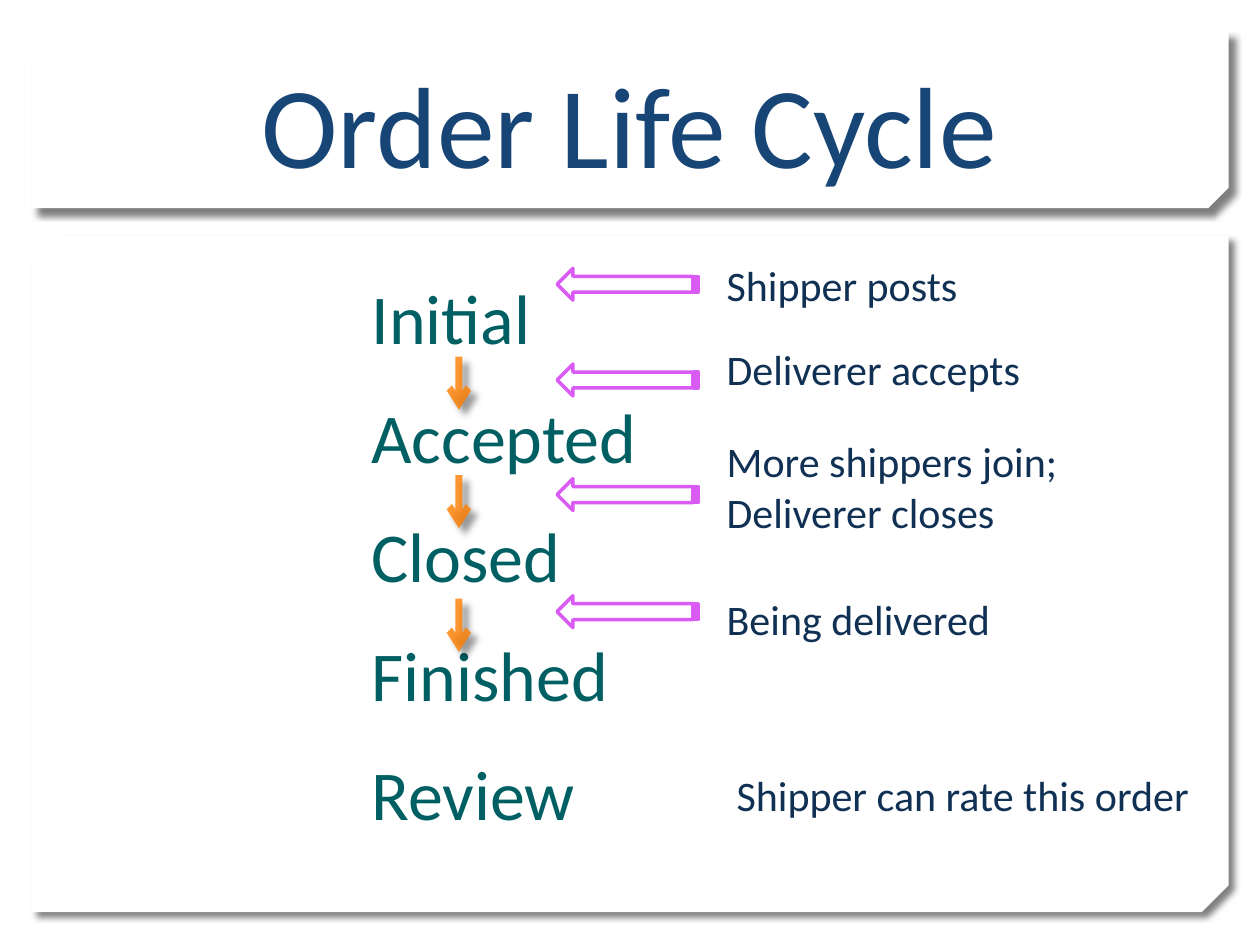
from dataclasses import dataclass

from lxml import etree
from pptx import Presentation
from pptx.dml.color import RGBColor
from pptx.enum import shapes, text
from pptx.oxml import ns
from pptx.util import Cm, Pt

COLORS = {
    "panel": "FFFFFF",
    "title": "174576",
    "state": "005F62",
    "note": "103154",
    "step": "FF7F01",
    "event": "DA5AF4",
    "shadow": "000000",
}
FONT = "Calibri"


@dataclass
class Panel:
    top: float
    height: float
    snip: float


@dataclass
class Note:
    lines: str
    top: float
    height: float = 1.27
    left: float = 14.4
    width: float = 8.48


PANELS = [Panel(4.75, 13.64, 0.04), Panel(0.64, 3.56, 0.117)]
STATES = ["Initial", "Accepted", "Closed", "Finished", "Review"]
STEP_TOPS = [7.19, 9.58, 12.07]
EVENT_TOPS = [5.41, 7.34, 9.65, 12.01]
NOTES = [
    Note("Shipper posts", 5.11),
    Note("Deliverer accepts", 6.81),
    Note("More shippers join;\nDeliverer closes", 8.66, 2.31),
    Note("Being delivered", 11.84),
    Note("Shipper can rate this order", 15.39, left=14.6, width=10.8),
]


def rgb(name: str) -> RGBColor:
    return RGBColor.from_string(COLORS[name])


def sub(parent, tag: str, **attrs: str):
    return etree.SubElement(parent, ns.qn(tag), attrs)


def add_shadow(sp_pr) -> None:
    effects = sub(sp_pr, "a:effectLst")
    shadow = sub(effects, "a:outerShdw", blurRad=str(Pt(4)), dist=str(Pt(5)),
                 dir=str(45 * 60000), algn="tl", rotWithShape="0")
    color = sub(shadow, "a:srgbClr", val=COLORS["shadow"])
    sub(color, "a:alpha", val="50000")


def format_text(tf, size: float, color: str) -> None:
    for p in tf.paragraphs:
        for r in p.runs:
            r.font.name = FONT
            r.font.size = Pt(size)
            r.font.color.rgb = rgb(color)


def add_panel(s, panel: Panel) -> None:
    sp = s.shapes.add_shape(shapes.MSO_SHAPE.SNIP_2_DIAG_RECTANGLE, Cm(0.64),
                            Cm(panel.top), Cm(24.13), Cm(panel.height))
    sp.adjustments[0] = 0
    sp.adjustments[1] = panel.snip
    sp.fill.solid()
    sp.fill.fore_color.rgb = rgb("panel")
    sp.line.fill.background()
    sp_pr = sp._element.spPr
    sp_pr.find(ns.qn("a:xfrm")).set("flipV", "1")
    add_shadow(sp_pr)


def add_title(s, title: str) -> None:
    sp = s.shapes.title
    sp.left, sp.top, sp.width, sp.height = Cm(2.16), Cm(0.81), Cm(21.06), Cm(3.18)
    tf = sp.text_frame
    tf.text = title
    tf.vertical_anchor = text.MSO_ANCHOR.BOTTOM
    tf.auto_size = text.MSO_AUTO_SIZE.NONE
    tf.paragraphs[0].alignment = text.PP_ALIGN.CENTER
    format_text(tf, 66, "title")


def add_states(s, states: list[str]) -> None:
    tf = s.shapes.add_textbox(Cm(2.16), Cm(5.41), Cm(21.06), Cm(12.45)).text_frame
    tf.word_wrap = True
    tf.margin_left = Cm(5.33)
    tf.text = "\n".join(states)
    for p in tf.paragraphs:
        p.space_before = Pt(20)
    format_text(tf, 40, "state")


def add_step(s, top: float) -> None:
    x = Cm(9.25)
    line = s.shapes.add_connector(shapes.MSO_CONNECTOR.STRAIGHT,
                                  x, Cm(top), x, Cm(top + 1.07))
    line.line.width = Pt(4)
    line.line.color.rgb = rgb("step")
    ln = line.line._get_or_add_ln()
    sub(ln.find(".//" + ns.qn("a:srgbClr")), "a:alpha", val="80000")
    sub(ln, "a:tailEnd", type="arrow")
    add_shadow(line._element.spPr)


def add_event(s, top: float) -> None:
    sp = s.shapes.add_shape(shapes.MSO_SHAPE.STRIPED_RIGHT_ARROW,
                            Cm(11.23), Cm(top), Cm(2.84), Cm(0.64))
    sp.rotation = 180
    sp.shadow.inherit = False
    sp.fill.solid()
    sp.fill.fore_color.rgb = rgb("panel")
    sp.line.color.rgb = rgb("event")
    sp.line.width = Pt(2)


def add_note(s, note: Note) -> None:
    tf = s.shapes.add_textbox(Cm(note.left), Cm(note.top),
                              Cm(note.width), Cm(note.height)).text_frame
    tf.word_wrap = True
    tf.auto_size = text.MSO_AUTO_SIZE.SHAPE_TO_FIT_TEXT
    tf.text = note.lines
    format_text(tf, 24, "note")


def main() -> None:
    prs = Presentation()
    prs.slide_width, prs.slide_height = Cm(25.4), Cm(19.05)
    s = prs.slides.add_slide(prs.slide_layouts[5])

    # Background panels, kept behind the title
    for panel in PANELS:
        add_panel(s, panel)
    title = s.shapes.title._element
    title.getparent().append(title)

    # Title and the column of order states
    add_title(s, "Order Life Cycle")
    add_states(s, STATES)

    # Steps between states, and the events that trigger them
    for top in STEP_TOPS:
        add_step(s, top)
    for top in EVENT_TOPS:
        add_event(s, top)
    for note in NOTES:
        add_note(s, note)

    prs.save("out.pptx")


if __name__ == "__main__":
    main()
